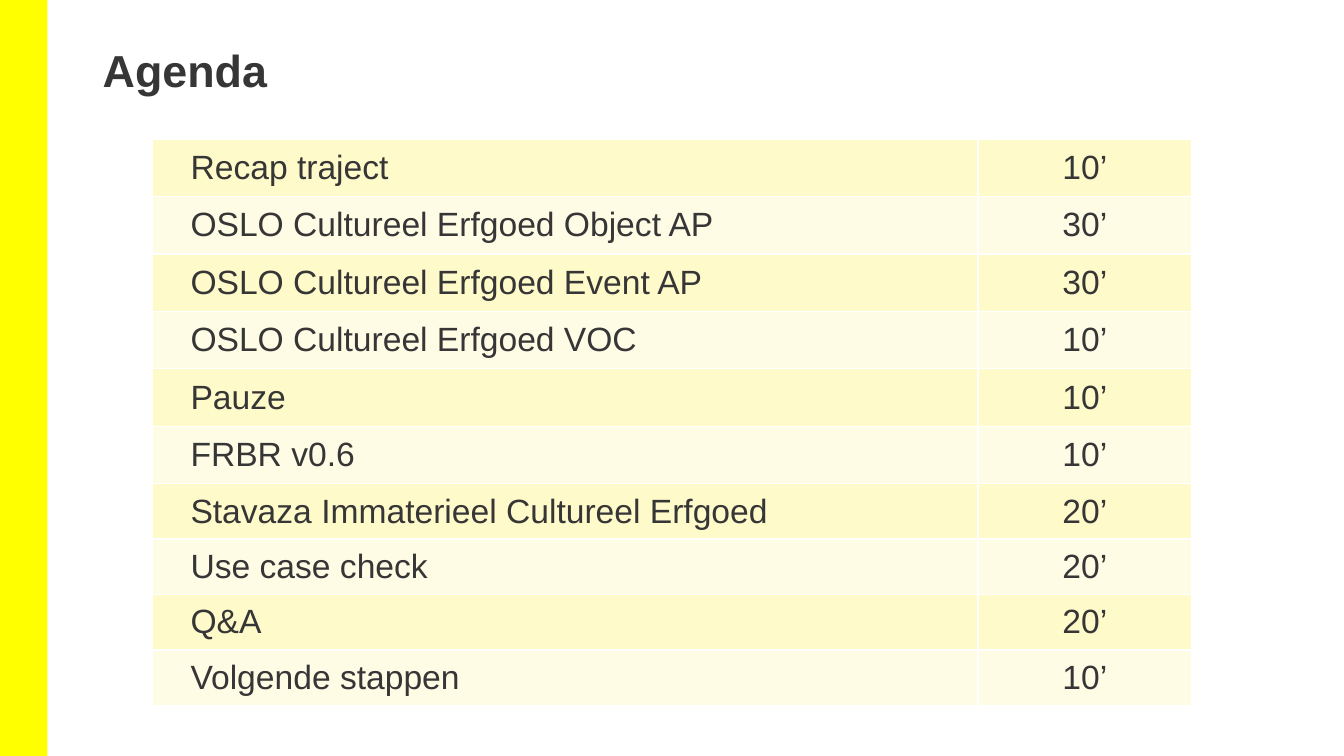
from dataclasses import dataclass

from pptx import Presentation
from pptx.dml.color import RGBColor
from pptx.enum.shapes import MSO_SHAPE
from pptx.enum.text import MSO_ANCHOR, PP_ALIGN
from pptx.oxml import parse_xml
from pptx.oxml.ns import nsdecls
from pptx.util import Inches, Pt

RECTANGLE = MSO_SHAPE.RECTANGLE
MIDDLE = MSO_ANCHOR.MIDDLE
LEFT, CENTER = PP_ALIGN.LEFT, PP_ALIGN.CENTER

YELLOW = RGBColor(0xFF, 0xFF, 0x00)
BANDS = (RGBColor(0xFF, 0xFA, 0xCA), RGBColor(0xFF, 0xFC, 0xE6))
INK = RGBColor(0x37, 0x36, 0x36)
WHITE = RGBColor(0xFF, 0xFF, 0xFF)

TITLE_FORMAT = {"name": "Arial", "size": Pt(32), "bold": True}
CELL_FORMAT = {"name": "Arial", "size": Pt(24), "bold": False}
COLUMN_WIDTHS = (8.19, 2.12)


@dataclass
class AgendaItem:
    topic: str
    minutes: int
    height: float = 0.57


AGENDA = [
    AgendaItem("Recap traject", 10),
    AgendaItem("OSLO Cultureel Erfgoed Object AP", 30),
    AgendaItem("OSLO Cultureel Erfgoed Event AP", 30),
    AgendaItem("OSLO Cultureel Erfgoed VOC", 10),
    AgendaItem("Pauze", 10),
    AgendaItem("FRBR v0.6", 10),
    AgendaItem("Stavaza Immaterieel Cultureel Erfgoed", 20, 0.55),
    AgendaItem("Use case check", 20, 0.55),
    AgendaItem("Q&A", 20, 0.55),
    AgendaItem("Volgende stappen", 10, 0.55),
]


def write(p, text: str, font_format: dict) -> None:
    r = p.add_run()
    r.text = text
    for name, value in font_format.items():
        setattr(r.font, name, value)
    r.font.color.rgb = INK


def add_borders(cell) -> None:
    tcPr = cell._tc.get_or_add_tcPr()
    for side in ("lnL", "lnR", "lnT", "lnB"):
        tcPr.append(parse_xml(
            f'<a:{side} {nsdecls("a")} w="{Pt(1)}"><a:solidFill>'
            f'<a:srgbClr val="{WHITE}"/></a:solidFill></a:{side}>'))


def fill_cell(cell, text: str, align: PP_ALIGN, indent: float,
              color: RGBColor) -> None:
    add_borders(cell)
    cell.fill.solid()
    cell.fill.fore_color.rgb = color
    cell.vertical_anchor = MIDDLE
    cell.margin_left = Inches(indent)
    p = cell.text_frame.paragraphs[0]
    p.alignment = align
    write(p, text, CELL_FORMAT)


def add_bar(s) -> None:
    bar = s.shapes.add_shape(RECTANGLE, 0, 0, Inches(0.47), Inches(7.5))
    bar.shadow.inherit = False
    bar.fill.solid()
    bar.fill.fore_color.rgb = YELLOW
    bar.line.fill.background()


def add_agenda(s) -> None:
    table = s.shapes.add_table(
        len(AGENDA), len(COLUMN_WIDTHS), Inches(1.51), Inches(1.38),
        Inches(sum(COLUMN_WIDTHS)),
        Inches(sum(item.height for item in AGENDA))).table
    table.first_row = False
    for column, width in zip(table.columns, COLUMN_WIDTHS):
        column.width = Inches(width)
    for i, item in enumerate(AGENDA):
        table.rows[i].height = Inches(item.height)
        color = BANDS[i % 2]
        fill_cell(table.cell(i, 0), item.topic, LEFT, 0.38, color)
        fill_cell(table.cell(i, 1), f"{item.minutes}’", CENTER, 0.1, color)


def add_title(s) -> None:
    tf = s.shapes.add_textbox(
        Inches(0.92), Inches(0.14), Inches(8.82), Inches(1.21)).text_frame
    tf.word_wrap = True
    tf.vertical_anchor = MIDDLE
    p = tf.paragraphs[0]
    p.line_spacing = 0.75
    write(p, "Agenda", TITLE_FORMAT)


def main() -> None:
    prs = Presentation()
    prs.slide_width, prs.slide_height = Inches(13.33), Inches(7.5)
    s = prs.slides.add_slide(prs.slide_layouts[6])

    # Side bar, agenda table and title
    add_bar(s)
    add_agenda(s)
    add_title(s)
    prs.save("out.pptx")


if __name__ == "__main__":
    main()
